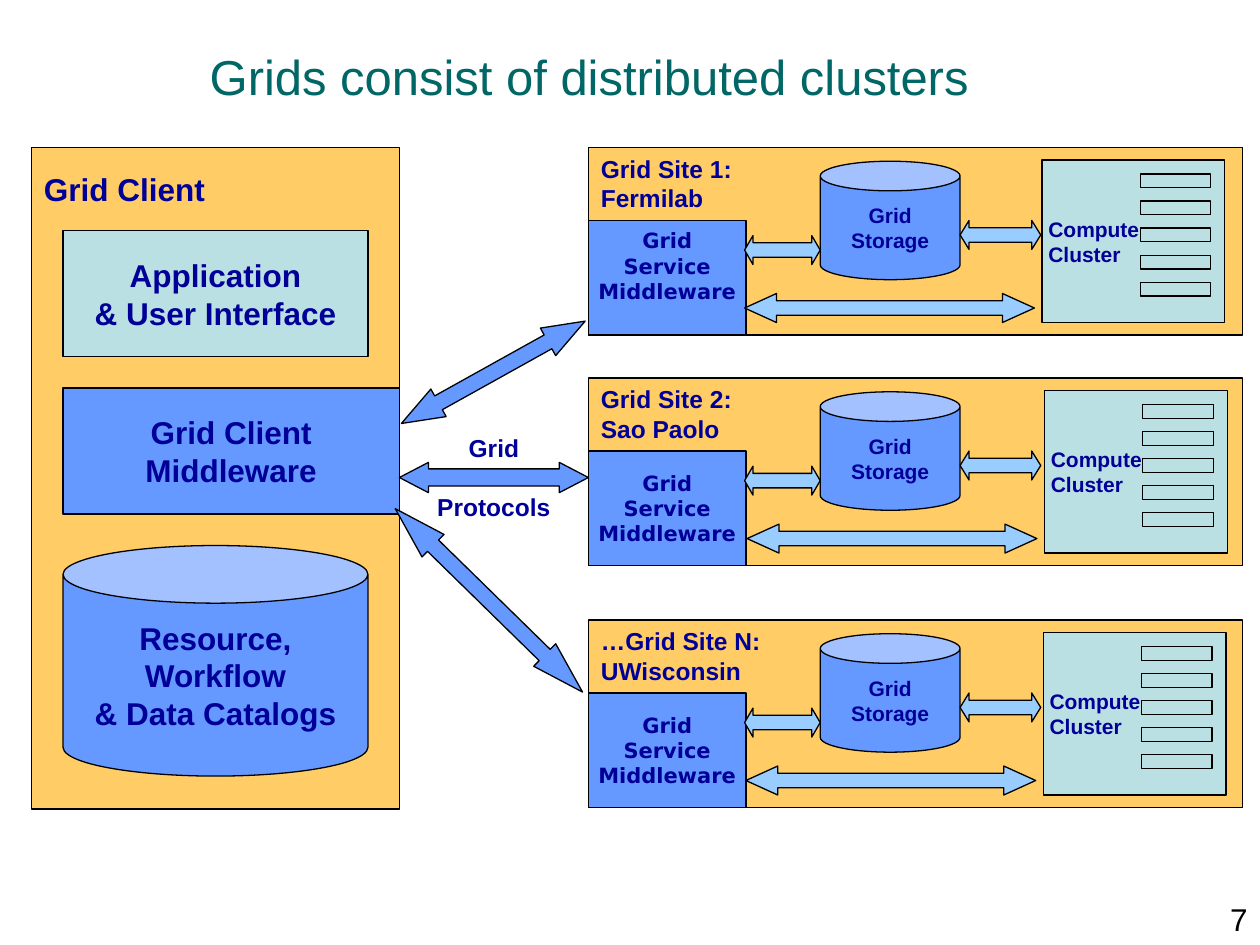
from dataclasses import dataclass

from pptx import Presentation
from pptx.dml.color import RGBColor
from pptx.enum.shapes import MSO_SHAPE
from pptx.enum.text import MSO_ANCHOR, PP_ALIGN
from pptx.util import Inches, Pt

RECT = MSO_SHAPE.RECTANGLE
CAN = MSO_SHAPE.CAN
ARROW = MSO_SHAPE.LEFT_RIGHT_ARROW
TOP, MIDDLE = MSO_ANCHOR.TOP, MSO_ANCHOR.MIDDLE
LEFT, CENTER, RIGHT = PP_ALIGN.LEFT, PP_ALIGN.CENTER, PP_ALIGN.RIGHT


@dataclass(frozen=True)
class Theme:
    title: RGBColor = RGBColor(0x00, 0x66, 0x66)
    text: RGBColor = RGBColor(0x00, 0x00, 0x99)
    black: RGBColor = RGBColor(0x00, 0x00, 0x00)
    panel: RGBColor = RGBColor(0xFF, 0xCC, 0x66)
    blue: RGBColor = RGBColor(0x66, 0x99, 0xFF)
    pale: RGBColor = RGBColor(0xBB, 0xE0, 0xE3)
    sky: RGBColor = RGBColor(0x99, 0xCC, 0xFF)
    font: str = "Arial"
    service_font: str = "DejaVu Sans"
    title_size: int = 28
    large: int = 18
    medium: int = 14
    small: int = 12
    line: float = 0.75


THEME = Theme()


def write(sp, lines, size, align=CENTER, anchor=MIDDLE, font=THEME.font,
          color=THEME.text, bold=True, insets=(0.1, 0.05, 0.1, 0.05), gap=0):
    tf = sp.text_frame
    tf.word_wrap = align != CENTER
    tf.vertical_anchor = anchor
    tf.margin_left, tf.margin_top, tf.margin_right, tf.margin_bottom = map(Inches, insets)
    for i, line in enumerate(lines):
        p = tf.add_paragraph() if i else tf.paragraphs[0]
        p.alignment = align
        if i and gap:
            p.space_before = Pt(gap)
        r = p.add_run()
        r.text = line
        r.font.name = font
        r.font.size = Pt(size)
        r.font.bold = bold
        r.font.color.rgb = color


def add_block(shapes, kind, box, fill):
    sp = shapes.add_shape(kind, *map(Inches, box))
    sp.shadow.inherit = False
    sp.fill.solid()
    sp.fill.fore_color.rgb = fill
    sp.line.color.rgb = THEME.black
    sp.line.width = Pt(THEME.line)
    return sp


def add_arrow(shapes, box, fill, head, shaft=0.5, rotation=0):
    sp = add_block(shapes, ARROW, box, fill)
    sp.adjustments[0] = shaft
    sp.adjustments[1] = head
    sp.rotation = rotation
    return sp


def add_label(shapes, box, text, size, align, color):
    sp = shapes.add_textbox(*map(Inches, box))
    write(sp, [text], size, align, TOP, color=color, bold=False)
    return sp


def add_cluster(shapes, left, top):
    group = shapes.add_group_shape().shapes
    sp = add_block(group, RECT, (left, top, 1.45, 1.29), THEME.pale)
    write(sp, ["Compute", "Cluster"], THEME.small, LEFT, insets=(0.05, 0.05, 0.1, 0.05))
    for i in range(5):
        add_block(group, RECT, (left + 0.78, top + 0.11 + i * 0.215, 0.56, 0.11), THEME.pale)


def add_site(shapes, top, names, cluster_left, service_bottom=0.05):
    panel = add_block(shapes, RECT, (4.67, top, 5.19, 1.49), THEME.panel)
    write(panel, names, THEME.medium, LEFT, TOP)
    service = add_block(shapes, RECT, (4.67, top + 0.58, 1.25, 0.91), THEME.blue)
    write(service, ["Grid", "Service", "Middleware"], THEME.small,
          font=THEME.service_font, insets=(0.1, 0.05, 0.1, service_bottom))
    add_cluster(shapes, cluster_left, top + 0.1)
    storage = add_block(shapes, CAN, (6.51, top + 0.11, 1.11, 0.94), THEME.blue)
    write(storage, ["Grid", "Storage"], THEME.small)
    add_arrow(shapes, (cluster_left - 2.36, top + 1.16, 2.3, 0.23), THEME.sky, 1.1)
    add_arrow(shapes, (5.91, top + 0.7, 0.6, 0.23), THEME.sky, 0.29)
    add_arrow(shapes, (7.62, top + 0.58, 0.64, 0.23), THEME.sky, 0.31)


def add_client(shapes):
    panel = add_block(shapes, RECT, (0.25, 1.17, 2.92, 5.25), THEME.panel)
    write(panel, ["Grid Client"], THEME.large, LEFT, TOP, insets=(0.1, 0.18, 0.1, 0.05))
    parts = [
        (RECT, (0.5, 1.83, 2.42, 1), THEME.pale, ["Application", "& User Interface"]),
        (RECT, (0.5, 3.08, 2.67, 1), THEME.blue, ["Grid Client", "Middleware"]),
        (CAN, (0.5, 4.33, 2.42, 1.83), THEME.blue,
         ["Resource,", "Workflow", "& Data Catalogs"]),
    ]
    for kind, box, fill, lines in parts:
        write(add_block(shapes, kind, box, fill), lines, THEME.large)


def add_protocols(shapes):
    sp = add_arrow(shapes, (3.17, 3.67, 1.5, 0.24), THEME.blue, 0.96, shaft=0.57)
    write(sp, ["Grid", "Protocols"], THEME.medium, gap=17)
    add_arrow(shapes, (3.08, 2.83, 1.67, 0.25), THEME.blue, 1.35, rotation=330.9)
    add_arrow(shapes, (2.84, 4.64, 2.08, 0.25), THEME.blue, 1.68, rotation=44.4)


def main():
    prs = Presentation()
    prs.slide_width, prs.slide_height = Inches(10), Inches(7.5)
    s = prs.slides.add_slide(prs.slide_layouts[6])
    add_label(s.shapes, (0.12, 0.32, 9.11, 0.96), "Grids consist of distributed clusters",
              THEME.title_size, CENTER, THEME.title)
    add_client(s.shapes)
    add_site(s.shapes, 1.17, ["Grid Site 1:", "Fermilab"], 8.27, service_bottom=0.24)
    add_site(s.shapes, 3, ["Grid Site 2:", "Sao Paolo"], 8.29)
    add_site(s.shapes, 4.92, ["…Grid Site N:", "UWisconsin"], 8.28)
    add_protocols(s.shapes)
    number = add_label(s.shapes, (9.5, 7.17, 0.5, 0.32), "7", THEME.large, RIGHT, THEME.black)
    number.text_frame.paragraphs[0].line_spacing = 0.74
    prs.save("out.pptx")


if __name__ == "__main__":
    main()
